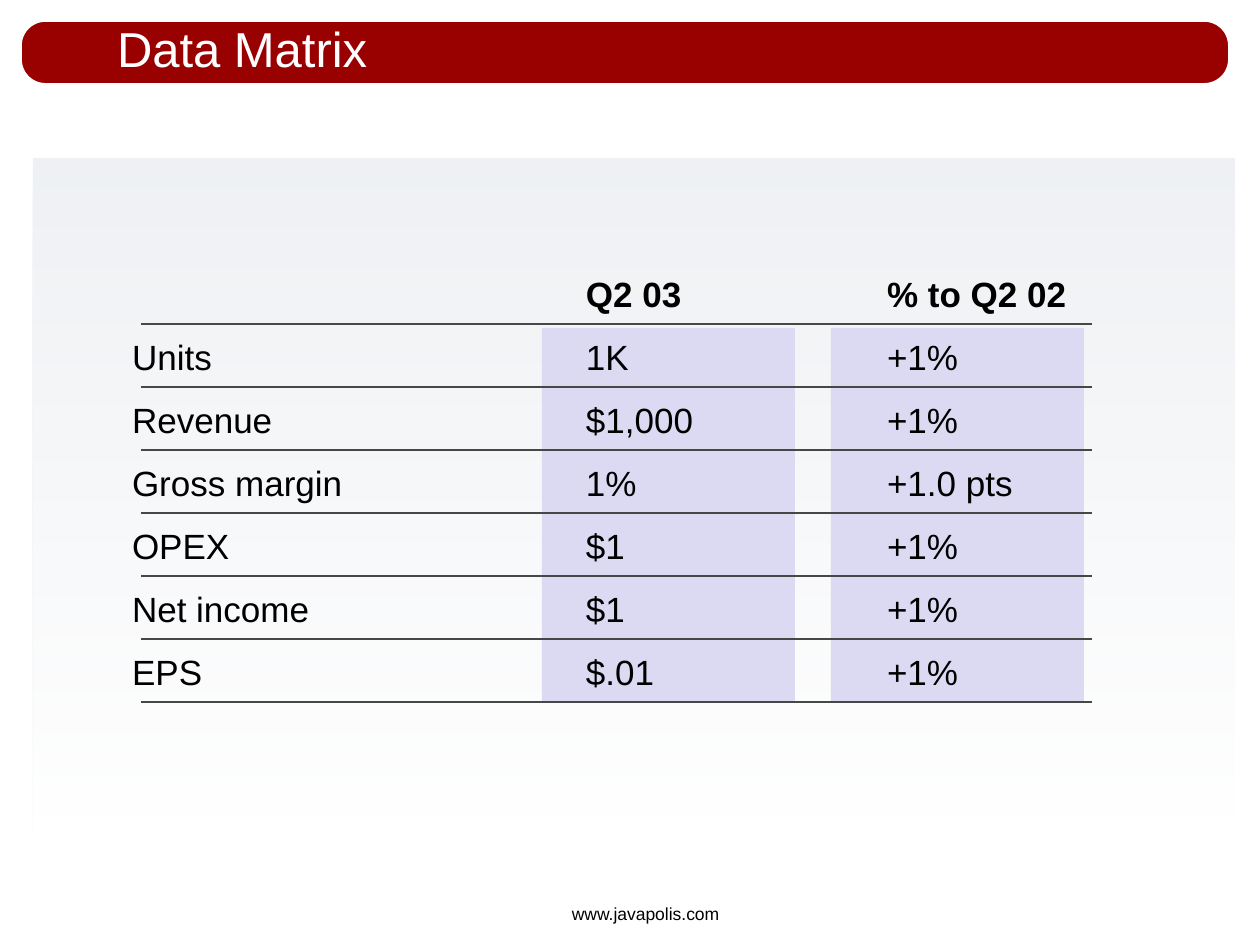
import pptx
import pptx.util
import pptx.dml.color
import pptx.enum.shapes
import pptx.enum.text
from lxml import etree

TITLE = "Data Matrix"
SITE = "www.javapolis.com"
ROWS = [
    ("", "Q2 03", "% to Q2 02"),
    ("Units", "1K", "+1%"),
    ("Revenue", "$1,000", "+1%"),
    ("Gross margin", "1%", "+1.0 pts"),
    ("OPEX", "$1", "+1%"),
    ("Net income", "$1", "+1%"),
    ("EPS", "$.01", "+1%"),
]
HEX = {"bar": "990000", "white": "FFFFFF", "black": "000000",
       "mist": "9DAABD", "band": "DBDAF2", "rule": "474747"}
TABS = (454, 755)
PITCH = 63
TOP = 252
FIRST = 324
BANDS = (542, 831)
SCALE = 914400 / 126

KIND = pptx.enum.shapes.MSO_SHAPE
ALIGN = pptx.enum.text.PP_ALIGN
ANCHOR = pptx.enum.text.MSO_ANCHOR
Pt = pptx.util.Pt


def px(n):
    return pptx.util.Emu(round(n * SCALE))


def rgb(name):
    return pptx.dml.color.RGBColor.from_string(HEX[name])


def sub(node, tag, **attrs):
    """Append a DrawingML element."""
    ns = "http://schemas.openxmlformats.org/drawingml/2006/main"
    return etree.SubElement(node, f"{{{ns}}}{tag}", attrs)


def block(slide, kind, box, fill=None, line=None):
    shape = slide.shapes.add_shape(kind, *map(px, box))
    shape.shadow.inherit = False
    if fill:
        shape.fill.solid()
        shape.fill.fore_color.rgb = rgb(fill)
    if line:
        shape.line.color.rgb = rgb(line)
        shape.line.width = Pt(1)
    else:
        shape.line.fill.background()
    return shape


def fade(shape, names, alpha):
    """Fill from top to bottom with see-through colours."""
    shape.fill.gradient()
    shape.fill.gradient_angle = 270
    for stop, name in zip(shape.fill.gradient_stops, names):
        stop.color.rgb = rgb(name)
    for color in shape.fill._xPr.iter("{*}srgbClr"):
        sub(color, "alpha", val=str(alpha * 1000))


def write(slide, text, box, size, color="black", inset=(0, 0, 0, 0),
          anchor=ANCHOR.TOP, align=ALIGN.LEFT, indent=5, space=None,
          tabs=(), head=False):
    frame = slide.shapes.add_textbox(*map(px, box)).text_frame
    frame.word_wrap = True
    frame.vertical_anchor = anchor
    (frame.margin_left, frame.margin_top,
     frame.margin_right, frame.margin_bottom) = map(px, inset)
    for i, line in enumerate(text.split("\n")):
        para = frame.paragraphs[0] if i == 0 else frame.add_paragraph()
        props = para._p.get_or_add_pPr()
        props.set("marL", str(px(indent)))
        if tabs:
            stops = sub(props, "tabLst")
            for tab in tabs:
                sub(stops, "tab", pos=str(px(tab)), algn="l")
        para.alignment = align
        if space:
            para.line_spacing = space
        run = para.add_run()
        run.text = line
        run.font.name = "Arial"
        run.font.size = Pt(size)
        run.font.bold = head and i == 0
        run.font.color.rgb = rgb(color)


def rule(slide, y):
    line = slide.shapes.add_connector(
        pptx.enum.shapes.MSO_CONNECTOR.STRAIGHT,
        px(141), px(y), px(1092), px(y))
    line.line.color.rgb = rgb("rule")
    line.line.width = Pt(1)
    sub(line._element.spPr, "effectLst")


def main():
    deck = pptx.Presentation()
    deck.slide_width, deck.slide_height = px(1260), px(945)
    slide = deck.slides.add_slide(deck.slide_layouts[6])

    panel = block(slide, KIND.RECTANGLE, (33, 158, 1202, 672))
    fade(panel, ("mist", "white"), 17)
    write(slide, SITE, (446, 891, 399, 33), 10, inset=(0, 0, 5, 0),
          anchor=ANCHOR.BOTTOM, align=ALIGN.CENTER)
    bar = block(slide, KIND.ROUNDED_RECTANGLE, (21, 21, 1208, 63),
                "bar", "white")
    bar.adjustments[0] = 0.39
    write(slide, TITLE, (104, 1, 1113, 84), 28, "white",
          inset=(8, 8, 18, 8), anchor=ANCHOR.BOTTOM, space=0.8)

    for x in BANDS:
        block(slide, KIND.RECTANGLE, (x, 328, 253, 374), "band")
    for i in range(len(ROWS)):
        rule(slide, FIRST + i * PITCH)
    table = "\n".join("\t".join(row) for row in ROWS)
    write(slide, table, (126, TOP, 963, PITCH * len(ROWS)), 20,
          inset=(0, 0, 6, 0), indent=6, space=Pt(36), tabs=TABS, head=True)
    deck.save("out.pptx")


if __name__ == "__main__":
    main()
